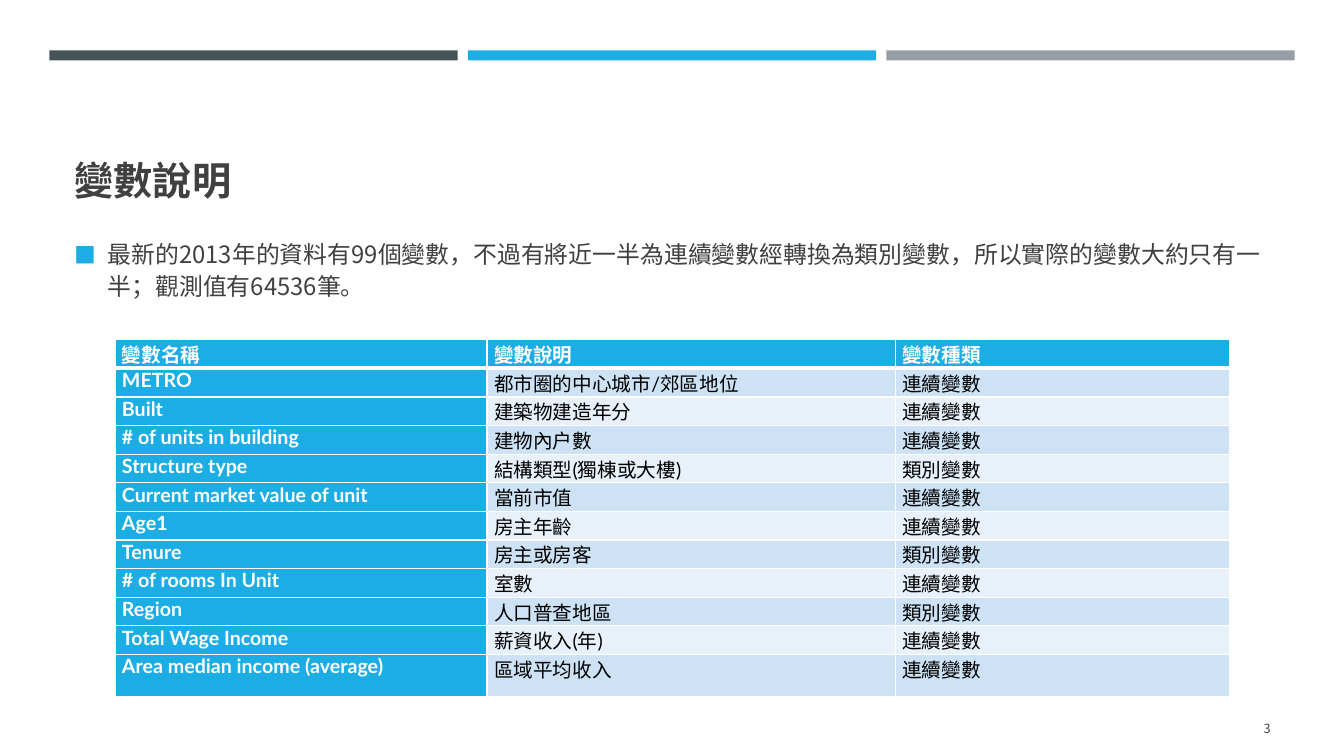
from lxml import etree
from pptx import Presentation
from pptx.dml.color import RGBColor
from pptx.enum import shapes, text
from pptx.oxml import ns
from pptx.util import Inches, Pt

DARK = RGBColor(0x46, 0x53, 0x59)
BLUE = RGBColor(0x1C, 0xAD, 0xE4)
GRAY = RGBColor(0x96, 0x9F, 0xA7)
INK = RGBColor(0x40, 0x40, 0x40)
BLACK = RGBColor(0x00, 0x00, 0x00)
WHITE = RGBColor(0xFF, 0xFF, 0xFF)
BAND_DARK = RGBColor(0xCD, 0xE3, 0xF5)
BAND_LIGHT = RGBColor(0xE8, 0xF1, 0xFA)

CHINESE_FONT = "Noto Sans CJK TC"
TABLE_FONT = "Lato"
CONTINUOUS, CATEGORICAL = "連續變數", "類別變數"

TITLE = "變數說明"
SUMMARY = ("最新的2013年的資料有99個變數，不過有將近一半為連續變數經轉換為類別變數，"
           "所以實際的變數大約只有一半；觀測值有64536筆。")
VARIABLES = [
    ("變數名稱", "變數說明", "變數種類"),
    ("METRO", "都市圈的中心城市/郊區地位", CONTINUOUS),
    ("Built", "建築物建造年分", CONTINUOUS),
    ("# of units in building", "建物內戶數", CONTINUOUS),
    ("Structure type", "結構類型(獨棟或大樓)", CATEGORICAL),
    ("Current market value of unit", "當前市值", CONTINUOUS),
    ("Age1", "房主年齡", CONTINUOUS),
    ("Tenure", "房主或房客", CATEGORICAL),
    ("# of rooms In Unit", "室數", CONTINUOUS),
    ("Region", "人口普查地區", CATEGORICAL),
    ("Total Wage Income", "薪資收入(年)", CONTINUOUS),
    ("Area median income (average)", "區域平均收入", CONTINUOUS),
]


def add_child(parent, tag, **attributes):
    """Append a DrawingML element and return it."""
    return etree.SubElement(parent, ns.qn(tag), attributes)


def format_paragraph(paragraph, size, color, bold=False, font=CHINESE_FONT):
    """Set the Latin and East Asian fonts, size, colour and weight of the runs."""
    for run in paragraph.runs:
        run.font.name = font
        run.font.size = Pt(size)
        run.font.bold = bold
        run.font.color.rgb = color
        add_child(run.font._element, "a:ea", typeface=CHINESE_FONT)


def fill_text(shape, content, size, anchor, alignment, bold=False):
    """Write one paragraph into a shape and return the paragraph."""
    frame = shape.text_frame
    frame.text = content
    frame.word_wrap = True
    frame.auto_size = text.MSO_AUTO_SIZE.NONE
    frame.vertical_anchor = anchor
    paragraph = frame.paragraphs[0]
    paragraph.alignment = alignment
    format_paragraph(paragraph, size, INK, bold)
    return paragraph


def add_bar(slide, index, color):
    """Add one of the three bars along the top."""
    shape = slide.shapes.add_shape(
        shapes.MSO_SHAPE.RECTANGLE,
        Inches(0.49 + 4.15 * index), Inches(0.5), Inches(4.05), Inches(0.1))
    shape.shadow.inherit = False
    shape.fill.solid()
    shape.fill.fore_color.rgb = color
    shape.line.fill.background()


def add_title(slide):
    """Place and format the title placeholder."""
    title = slide.shapes.title
    title.left, title.top = Inches(0.64), Inches(0.77)
    title.width, title.height = Inches(12.06), Inches(1.3)
    fill_text(title, TITLE, 28, text.MSO_ANCHOR.BOTTOM, text.PP_ALIGN.LEFT, True)


def add_summary(slide):
    """Add the summary with its square bullet."""
    box = slide.shapes.add_textbox(
        Inches(0.64), Inches(2.07), Inches(12.06), Inches(1.19))
    paragraph = fill_text(
        box, SUMMARY, 17, text.MSO_ANCHOR.MIDDLE, text.PP_ALIGN.LEFT)
    paragraph.line_spacing = 1.1
    paragraph.space_before = Pt(3.4)
    paragraph.space_after = Pt(6)
    properties = paragraph._p.get_or_add_pPr()
    properties.set("marL", str(Inches(0.33)))
    properties.set("indent", str(-Inches(0.33)))
    bullet_color = add_child(properties, "a:buClr")
    add_child(bullet_color, "a:srgbClr", val=str(BLUE))
    add_child(properties, "a:buSzPct", val="92000")
    add_child(properties, "a:buFont", typeface=CHINESE_FONT)
    add_child(properties, "a:buChar", char="■")


def add_borders(cell, is_header, is_below_header):
    """Draw white cell borders, thicker between the header and the body."""
    properties = cell._tc.get_or_add_tcPr()
    widths = {"L": 1, "R": 1, "T": 3 if is_below_header else 1,
              "B": 3 if is_header else 1}
    for side, width in widths.items():
        line = add_child(properties, f"a:ln{side}", w=str(Pt(width)))
        fill = add_child(line, "a:solidFill")
        add_child(fill, "a:srgbClr", val=str(WHITE))


def format_cell(cell, content, row, column):
    """Write a cell with header, label or band colours."""
    is_label = row == 0 or column == 0
    cell.text = content
    cell.margin_left = cell.margin_right = Inches(0.07)
    cell.margin_top = cell.margin_bottom = 0
    paragraph = cell.text_frame.paragraphs[0]
    paragraph.space_before = Pt(6)
    format_paragraph(
        paragraph, 14, WHITE if is_label else BLACK, is_label, TABLE_FONT)
    add_borders(cell, row == 0, row == 1)
    cell.fill.solid()
    band = BAND_DARK if row % 2 else BAND_LIGHT
    cell.fill.fore_color.rgb = BLUE if is_label else band


def add_variable_table(slide):
    """Add the table of variables."""
    table = slide.shapes.add_table(
        len(VARIABLES), 3,
        Inches(1.14), Inches(3.37), Inches(11.06), Inches(3.5)).table
    for column, width in zip(table.columns, (3.69, 4.05, 3.32)):
        column.width = Inches(width)
    for row, contents in enumerate(VARIABLES):
        is_last = row == len(VARIABLES) - 1
        table.rows[row].height = Inches(0.42 if is_last else 0.28)
        for column, content in enumerate(contents):
            format_cell(table.cell(row, column), content, row, column)


def add_page_number(slide):
    """Add the page number at the lower right."""
    box = slide.shapes.add_textbox(
        Inches(11.55), Inches(7.03), Inches(1.15), Inches(0.4))
    fill_text(box, "3", 9, text.MSO_ANCHOR.MIDDLE, text.PP_ALIGN.RIGHT)


def main():
    """Build and save the slide."""
    presentation = Presentation()
    presentation.slide_width = Inches(13.33)
    presentation.slide_height = Inches(7.5)
    slide = presentation.slides.add_slide(presentation.slide_layouts[5])
    for index, color in enumerate((DARK, BLUE, GRAY)):
        add_bar(slide, index, color)
    add_title(slide)
    add_summary(slide)
    add_variable_table(slide)
    add_page_number(slide)
    presentation.save("out.pptx")


main()
